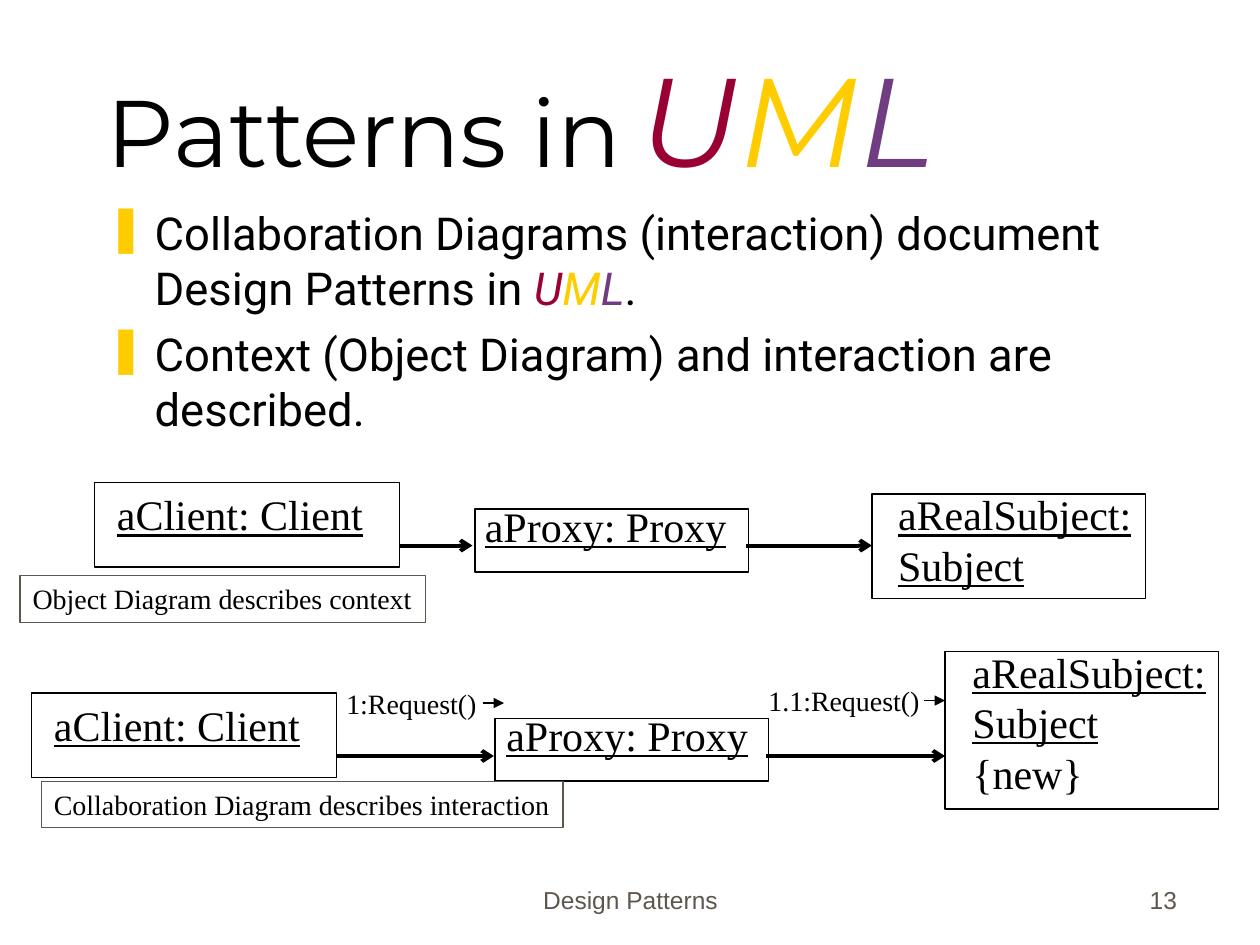
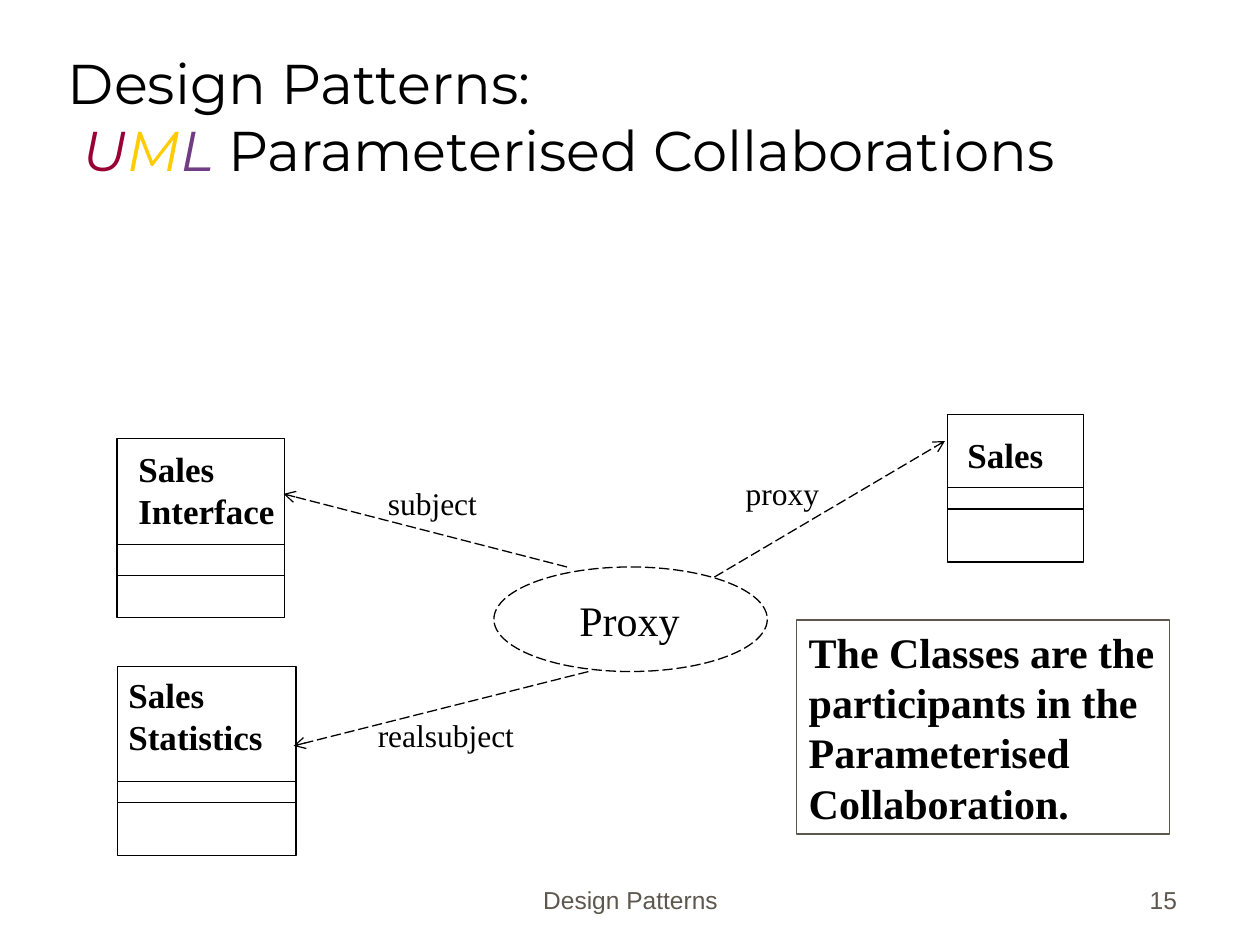
from dataclasses import dataclass

from lxml import etree
from pptx import Presentation
from pptx.dml.color import RGBColor
from pptx.enum.dml import MSO_LINE
from pptx.enum.shapes import MSO_CONNECTOR, MSO_SHAPE
from pptx.enum.text import MSO_ANCHOR, MSO_AUTO_SIZE, PP_ALIGN
from pptx.oxml.ns import qn
from pptx.util import Inches, Pt

RECT, OVAL = MSO_SHAPE.RECTANGLE, MSO_SHAPE.OVAL
STRAIGHT = MSO_CONNECTOR.STRAIGHT
BOTTOM, TOP = MSO_ANCHOR.BOTTOM, MSO_ANCHOR.TOP
LEFT, CENTER, RIGHT = PP_ALIGN.LEFT, PP_ALIGN.CENTER, PP_ALIGN.RIGHT
FIT, FIXED = MSO_AUTO_SIZE.SHAPE_TO_FIT_TEXT, MSO_AUTO_SIZE.NONE
LONG_DASH = MSO_LINE.LONG_DASH


@dataclass(frozen=True)
class Theme:
    ink: str = "000000"
    muted: str = "5E574E"
    red: str = "990033"
    gold: str = "FFCC00"
    purple: str = "703C82"
    title_font: str = "Montserrat"
    body_font: str = "Roboto"
    diagram_font: str = "Times New Roman"
    footer_font: str = "Arial"
    big_title: float = 54
    title: float = 32
    emblem: float = 72
    title_gap: float = 40
    body: float = 25.9
    object_name: float = 24
    class_name: float = 20
    role: float = 18
    caption: float = 16
    footer: float = 14
    thin: float = 0.75
    thick: float = 2.25


T = Theme()


def add_box(s, at, paras=(), shape=None, line=T.ink, dash=None, wrap=False,
            anchor=TOP, align=LEFT, **fmt):
    """Add a text box, or an outlined shape if one is given.

    A paragraph is a list of (text, font overrides); a text of "\n" breaks the line.
    """
    at = [Inches(v) for v in at]
    if shape is None:
        sp = s.shapes.add_textbox(*at)
    else:
        sp = s.shapes.add_shape(shape, *at)
        sp.shadow.inherit = False
        sp.fill.background()
        sp.line.color.rgb = RGBColor.from_string(line)
        sp.line.width = Pt(T.thin)
        if dash:
            sp.line.dash_style = dash
    if not paras:
        return sp
    tf = sp.text_frame
    tf.word_wrap = wrap
    tf.auto_size = FIXED if wrap else FIT
    tf.vertical_anchor = anchor
    for i, runs in enumerate(paras):
        p = tf.paragraphs[0] if i == 0 else tf.add_paragraph()
        p.alignment = align
        for text, extra in runs:
            if text == "\n":
                p.add_line_break()
                continue
            r = p.add_run()
            r.text = text
            look = {"color": T.ink, **fmt, **extra}
            r.font.color.rgb = RGBColor.from_string(look.pop("color"))
            r.font.size = Pt(look.pop("size"))
            for name, value in look.items():
                setattr(r.font, name, value)
    return sp


def add_line(s, start, end, width=T.thin, dash=None, head=None):
    c = s.shapes.add_connector(STRAIGHT, *[Inches(v) for v in (*start, *end)])
    c.line.color.rgb = RGBColor.from_string(T.ink)
    c.line.width = Pt(width)
    if dash:
        c.line.dash_style = dash
    spPr = c.element.spPr
    if head:
        etree.SubElement(spPr.find(qn("a:ln")), qn("a:tailEnd"), type=head)
    etree.SubElement(spPr, qn("a:effectLst"))


UML = [(letter, {"color": color, "italic": True})
       for letter, color in zip("UML", (T.red, T.gold, T.purple))]
TITLE = {"name": T.title_font, "wrap": True, "anchor": BOTTOM}
OBJECT = {"name": T.diagram_font, "size": T.object_name}
CLASS = {"name": T.diagram_font, "size": T.class_name, "bold": True}
ROLE = {"name": T.diagram_font, "size": T.role}
CAPTION = {"name": T.diagram_font, "size": T.caption}
FOOTER = {"name": T.footer_font, "size": T.footer, "color": T.muted,
          "wrap": True, "anchor": BOTTOM}

prs = Presentation()
prs.slide_width, prs.slide_height = Inches(10), Inches(7.5)
slides = []
for number in ("13", "15"):
    s = prs.slides.add_slide(prs.slide_layouts[6])
    add_box(s, (3.42, 6.81, 3.17, 0.5), [[("Design Patterns", {})]], align=CENTER, **FOOTER)
    add_box(s, (7.36, 6.81, 2.08, 0.5), [[(number, {})]], align=RIGHT, **FOOTER)
    slides.append(s)

# Patterns in UML
s = slides[0]
emblem = [(letter, {**look, "size": T.emblem}) for letter, look in UML]
add_box(s, (0.75, 0.33, 8.5, 1.25),
        [[("Patterns in", {}), (" ", {"size": T.title_gap}), *emblem]],
        size=T.big_title, **TITLE)

body = add_box(s, (0.75, 1.58, 8.5, 1.92), [
    [("Collaboration Diagrams (interaction) document Design Patterns in ", {}),
     *UML, (".", {})],
    [("Context (Object Diagram) and interaction are described.", {})],
], wrap=True, name=T.body_font, size=T.body)
for i, p in enumerate(body.text_frame.paragraphs):
    pPr = p._p.get_or_add_pPr()
    pPr.set("marL", str(Inches(0.38)))
    pPr.set("indent", str(-Inches(0.38)))
    p.space_before = Pt(7 if i else 0)
    color = etree.SubElement(pPr, qn("a:buClr"))
    etree.SubElement(color, qn("a:srgbClr"), val=T.gold)
    etree.SubElement(pPr, qn("a:buChar"), char="❚")

# Object name lines, label place, frame
objects = [
    (["aClient: Client"], (0.83, 3.83, 2.2, 0.5), (0.75, 3.83, 2.42, 0.67)),
    (["aProxy: Proxy"], (3.75, 3.92, 2.16, 0.5), (3.77, 4.04, 2.17, 0.5)),
    (["aRealSubject:", "Subject"], (7.03, 3.83, 2.1, 0.9), (6.92, 3.92, 2.17, 0.83)),
    (["aClient: Client"], (0.33, 5.5, 2.2, 0.5), (0.25, 5.5, 2.42, 0.67)),
    (["aProxy: Proxy"], (3.92, 5.58, 2.16, 0.5), (3.93, 5.7, 2.17, 0.5)),
    (["aRealSubject:", "Subject", "{new}"], (7.62, 5.08, 2.1, 1.3), (7.5, 5.17, 2.17, 1.25)),
]
for names, label, frame in objects:
    add_box(s, label, [[(n, {"underline": n != "{new}"})] for n in names], **OBJECT)
    add_box(s, frame, shape=RECT)

for y, x1, x2 in [(4.33, 3.17, 3.75), (4.33, 5.92, 6.92), (6, 2.67, 3.92), (6, 6.08, 7.5)]:
    add_line(s, (x1, y), (x2, y), T.thick, head="arrow")

for text, at, x, y in [("1:Request()", (2.65, 5.4, 1.28, 0.37), 3.83, 5.58),
                       ("1.1:Request()", (6, 5.38, 1.45, 0.37), 7.33, 5.56)]:
    add_box(s, at, [[(text, {})]], **CAPTION)
    add_line(s, (x, y), (x + 0.17, y), head="triangle")

for text, at in [("Object Diagram describes context", (0.16, 4.57, 3.22, 0.37)),
                 ("Collaboration Diagram describes interaction", (0.33, 6.2, 4.14, 0.37))]:
    add_box(s, at, [[(text, {})]], RECT, T.muted, **CAPTION)

# Parameterised collaborations
s = slides[1]
add_box(s, (0.44, 0.25, 9.56, 1.25),
        [[("Design Patterns:", {}), ("\n", {}), (" ", {}), *UML,
          (" Parameterised Collaborations", {})]],
        size=T.title, **TITLE)

# Class name lines, label place, frame, divider heights
classes = [
    (["Sales", "Interface"], (1, 3.5, 1.33, 0.77), (0.93, 3.48, 1.33, 1.42), (4.32, 4.57)),
    (["Sales", "Statistics"], (0.92, 5.3, 1.31, 0.77), (0.93, 5.29, 1.42, 1.5), (6.2, 6.37)),
    (["Sales"], (7.58, 3.39, 0.85, 0.44), (7.52, 3.29, 1.08, 1.17), (3.87, 4.04)),
]
for names, label, frame, dividers in classes:
    add_box(s, label, [[(n, {})] for n in names], **CLASS)
    add_box(s, frame, shape=RECT)
    left, _, width, _ = frame
    for y in dividers:
        add_line(s, (left, y), (left + width, y))

add_box(s, (4.5, 4.67, 1.04, 0.5), [[("Proxy", {})]], **OBJECT)
add_box(s, (3.92, 4.5, 2.17, 0.83), shape=OVAL, dash=LONG_DASH)

roles = [
    ("proxy", (5.82, 3.71, 0.83, 0.4), (5.67, 4.58), (7.5, 3.5)),
    ("subject", (2.98, 3.79, 0.96, 0.4), (4.5, 4.5), (2.25, 3.92)),
    ("realsubject", (2.9, 5.63, 1.33, 0.4), (4.67, 5.33), (2.33, 5.92)),
]
for role, at, start, end in roles:
    add_line(s, start, end, dash=LONG_DASH, head="arrow")
    add_box(s, at, [[(role, {})]], **ROLE)

note = ["The Classes are the", "participants in the", "Parameterised", "Collaboration."]
add_box(s, (6.32, 4.92, 2.96, 1.7), [[(text, {})] for text in note],
        RECT, T.muted, bold=True, **OBJECT)

prs.save("out.pptx")
